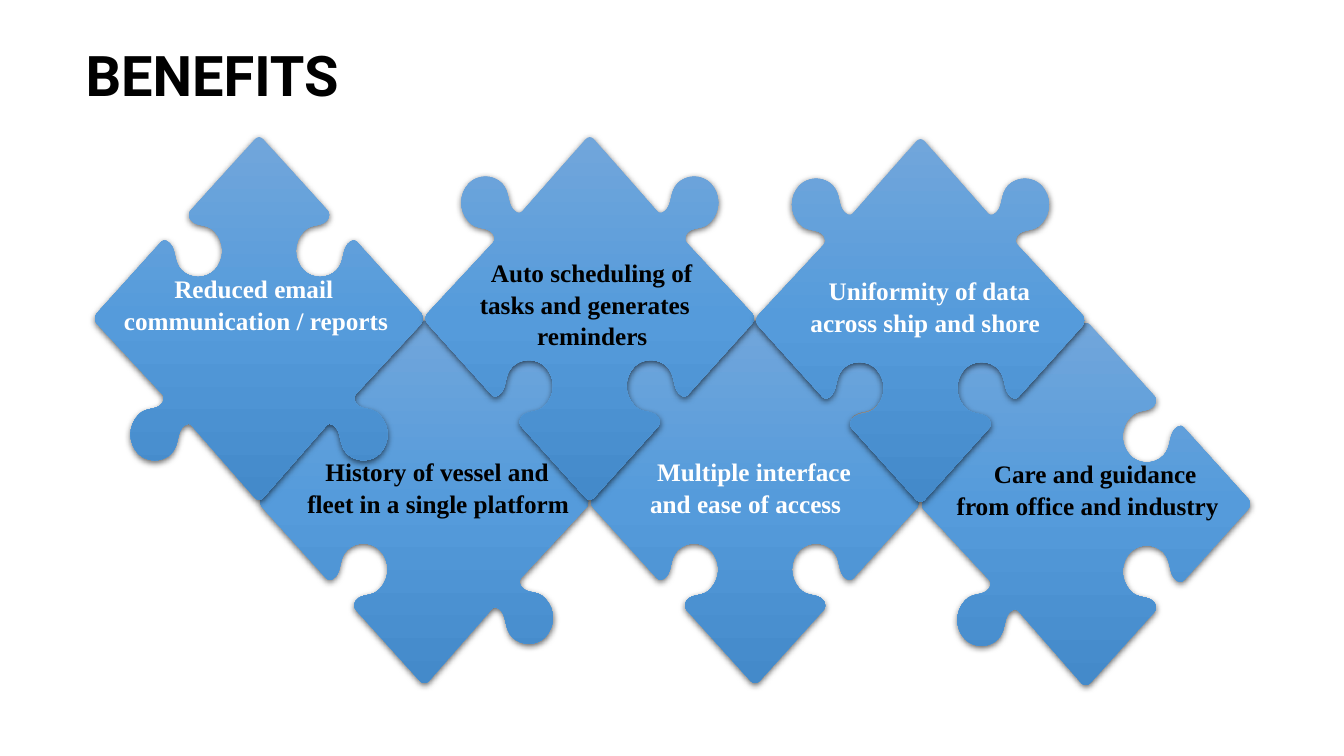
"""Builds a slide of six interlocking puzzle pieces that name the benefits."""
from copy import deepcopy

from lxml import etree
from pptx import Presentation
from pptx import util as u
from pptx.dml.color import RGBColor
from pptx.enum import text
from pptx.oxml.ns import qn

HALF_W, HALF_H = 1.63, 1.8
FIRST_X, COLUMN = 2.57, 1.64
FIRST_Y, ROW = 3.16, 1.82
BLACK, WHITE = "000000", "FFFFFF"
GRADIENT = [(0, "71A6DB"), (0.5, "559BDB"), (1, "448ACA")]

TIP = [(0, -1.8), (-0.01, -1.8), (-0.03, -1.79), (-0.04, -1.78)]
FLANK = [(-1.61, -0.05), (-1.62, -0.03), (-1.63, -0.02), (-1.63, 0)]
SOCKET = [
    [(-0.68, -1.07), (-0.7, -1.05), (-0.7, -1.01), (-0.68, -0.98)],
    [(-0.68, -0.98), (-0.62, -0.9), (-0.52, -0.95), (-0.44, -0.86)],
    [(-0.44, -0.86), (-0.34, -0.75), (-0.34, -0.59), (-0.44, -0.48)],
    [(-0.44, -0.48), (-0.53, -0.39), (-0.68, -0.39), (-0.77, -0.48)],
    [(-0.77, -0.48), (-0.85, -0.57), (-0.82, -0.67), (-0.88, -0.74)],
    [(-0.88, -0.74), (-0.91, -0.77), (-0.94, -0.79), (-0.97, -0.76)],
]
KNOB = [[(-1.64 - x, -1.82 - y) for x, y in reversed(curve)] for curve in reversed(SOCKET)]
MIRRORS = [(1, 1), (1, -1), (-1, -1), (-1, 1)]

# column, row, sides (upper left, lower left, lower right, upper right), colour, lines
PIECES = [
    (1, 1, "in in out out", BLACK,
     [(0.55, "History of vessel and"), (0.37, "fleet in a single platform")]),
    (3, 1, "out in in out", WHITE,
     [(0.56, "Multiple interface"), (0.49, "and ease of access")]),
    (0, 0, "in out out in", WHITE,
     [(0.69, "Reduced email"), (0.19, "communication / reports")]),
    (2, 0, "out in in out", BLACK,
     [(0.55, "Auto scheduling of"), (0.44, "tasks and generates"), (1.01, "reminders")]),
    (5, 1, "out out in in", BLACK,
     [(0.62, "Care and guidance"), (0.25, "from office and industry")]),
    (4, 0, "out in in out", WHITE,
     [(0.62, "Uniformity of data"), (0.44, "across ship and shore")]),
]


def rgb(value):
    return RGBColor.from_string(value)


def add_step(outline, tag, points):
    step = etree.SubElement(outline, qn(tag))
    for x, y in points:
        etree.SubElement(step, qn("a:pt"), x=str(u.Inches(HALF_W + x)),
                         y=str(u.Inches(HALF_H + y)))


deck = Presentation()
deck.slide_width, deck.slide_height = u.Inches(13.33), u.Inches(7.5)
page = deck.slides.add_slide(deck.slide_layouts[6])

for column, row, sides, colour, lines in PIECES:
    center_x = FIRST_X + column * COLUMN
    center_y = FIRST_Y + row * ROW + (0.02 if column > 3 else 0)

    corners = [(u.Inches(center_x + x), u.Inches(center_y + y))
               for x, y in [(0, -HALF_H), (-HALF_W, 0), (0, HALF_H), (HALF_W, 0)]]
    builder = page.shapes.build_freeform(*corners[0], scale=1.0)
    builder.add_line_segments(corners[1:], close=True)
    piece = builder.convert_to_shape()

    outline = next(piece._element.iter(qn("a:path")))
    for step in list(outline):
        outline.remove(step)
    last = (0, -HALF_H)
    add_step(outline, "a:moveTo", [last])
    for number, (kind, (flip_x, flip_y)) in enumerate(zip(sides.split(), MIRRORS)):
        order = -1 if number % 2 else 1
        curves = [TIP, *(SOCKET if kind == "in" else KNOB), FLANK]
        for curve in curves[::order]:
            points = [(x * flip_x, y * flip_y) for x, y in curve[::order]]
            if points[0] != last:
                add_step(outline, "a:lnTo", points[:1])
            add_step(outline, "a:cubicBezTo", points[1:])
            last = points[-1]
    etree.SubElement(outline, qn("a:close"))

    piece.fill.gradient()
    stop_list = piece.fill.gradient_stops[0]._gs.getparent()
    stop_list.insert(1, deepcopy(stop_list[0]))
    for stop, (position, shade) in zip(piece.fill.gradient_stops, GRADIENT):
        stop.position, stop.color.rgb = position, rgb(shade)
    piece.fill.gradient_angle = 270
    piece.line.fill.background()
    piece.shadow.inherit = False
    effects = piece._element.spPr.find(qn("a:effectLst"))
    shadow = etree.SubElement(effects, qn("a:outerShdw"), blurRad=str(u.Pt(4.5)),
                              dist=str(u.Pt(1.5)), dir="5400000", rotWithShape="0")
    shadow_colour = etree.SubElement(shadow, qn("a:srgbClr"), val=BLACK)
    etree.SubElement(shadow_colour, qn("a:alpha"), val="63000")

    frame = piece.text_frame
    frame.word_wrap = True
    frame.vertical_anchor = text.MSO_ANCHOR.MIDDLE
    frame.margin_left = frame.margin_top = u.Inches(0.1)
    frame.margin_right = 0
    frame.margin_bottom = u.Inches(0.4)
    for number, (indent, words) in enumerate(lines):
        para = frame.add_paragraph() if number else frame.paragraphs[0]
        para.alignment = text.PP_ALIGN.LEFT
        para.line_spacing = 1.05
        para._p.get_or_add_pPr().set("marL", str(u.Inches(indent)))
        span = para.add_run()
        span.text = words
        span.font.name, span.font.size, span.font.bold = "Times New Roman", u.Pt(18), True
        span.font.color.rgb = rgb(colour)

box = page.shapes.add_textbox(u.Inches(0.75), u.Inches(0.35), u.Inches(4.18), u.Inches(0.77))
box.text_frame.word_wrap = True
span = box.text_frame.paragraphs[0].add_run()
span.text = "BENEFITS"
span.font.name, span.font.size, span.font.bold = "Roboto", u.Pt(40), True
span.font.color.rgb = rgb(BLACK)

deck.save("out.pptx")
